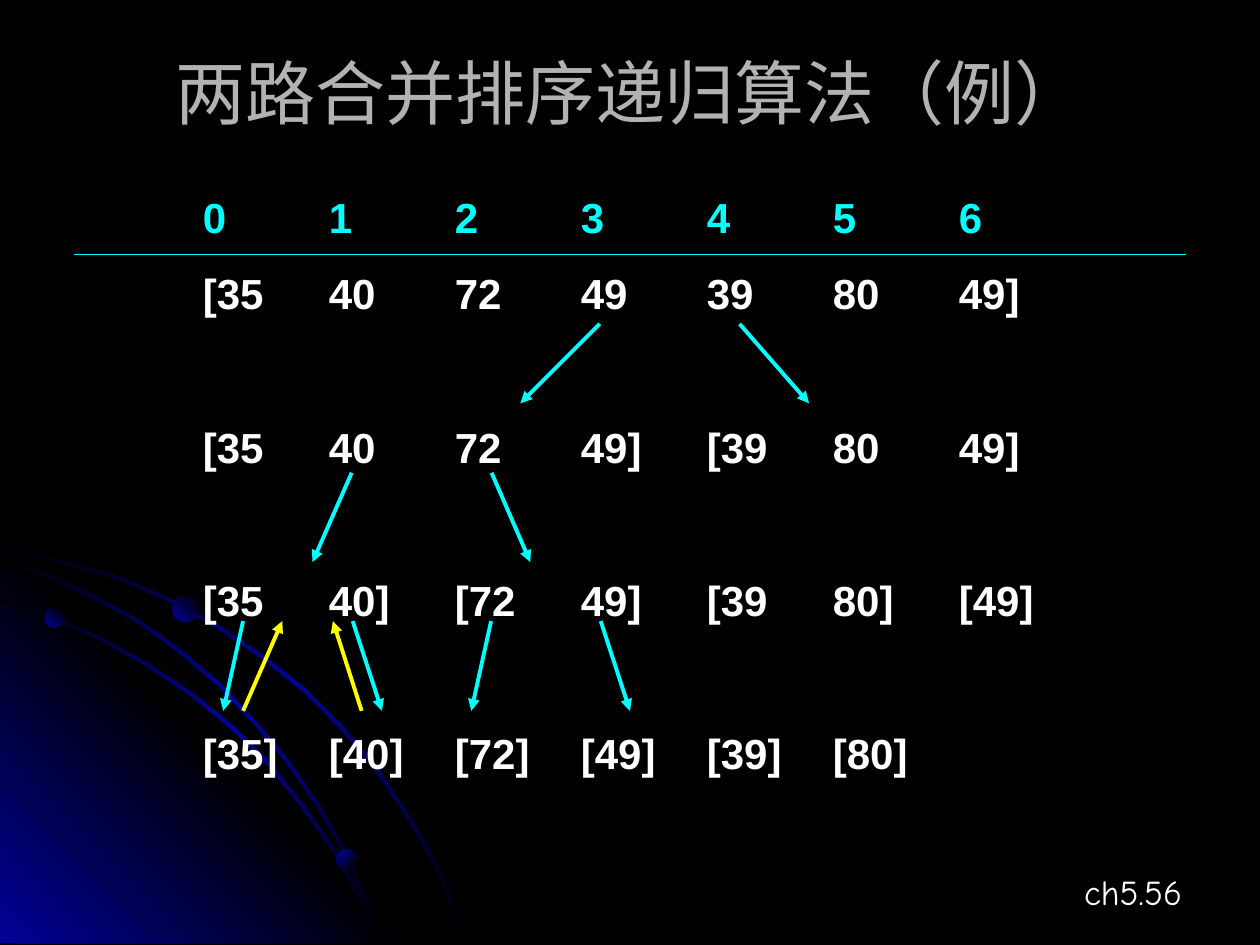
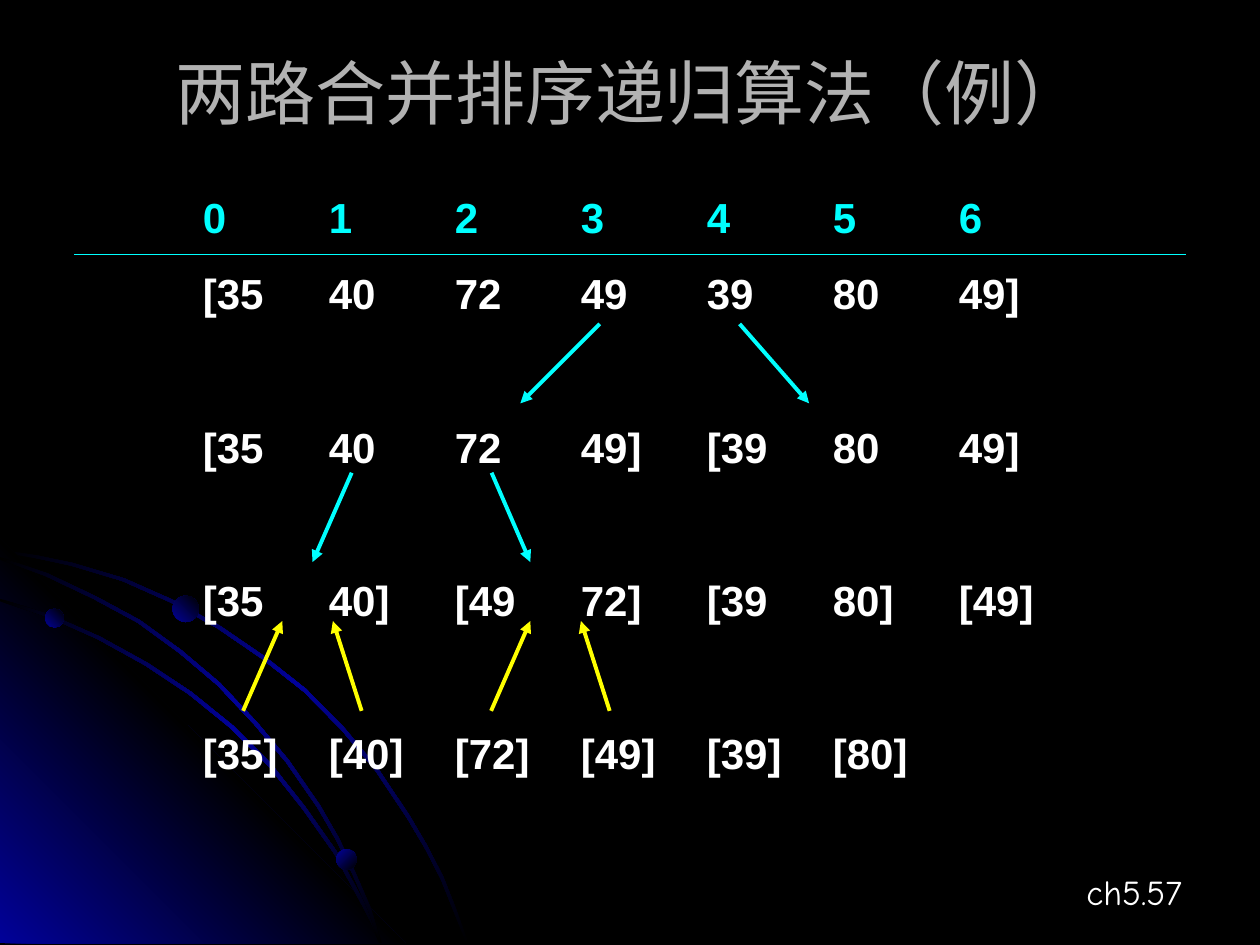
from dataclasses import dataclass
from typing import Optional

from lxml.etree import SubElement
from pptx import Presentation
from pptx.dml.color import RGBColor
from pptx.enum.shapes import MSO_CONNECTOR as Connector, MSO_SHAPE as Preset
from pptx.enum.text import MSO_ANCHOR as Anchor, MSO_AUTO_SIZE as AutoSize, PP_ALIGN as Align
from pptx.oxml.ns import qn
from pptx.oxml.xmlchemy import OxmlElement
from pptx.util import Cm, Pt

COLORS = {
    "background": "000000",
    "glow": "010199",
    "title": "B2B2B2",
    "text": "FFFFFF",
    "split": "00FFFF",
    "merge": "FFFF00",
}
TITLE = "两路合并排序递归算法（例）"
COLUMN = 2.54
LINE_HEIGHT, ROW_GAP, LEVEL_GAP = 28.8, 15, 58.8
BAND = 0.05
PAIR_SHIFT = 5.0

FADE_OUT = ("glow", "background")
FADE_BOTH = ("background", "glow", "background")
FADE_CORNERS = ("glow", "background", "glow")

Points = list[tuple[float, float]]

UPPER_ORBIT: Points = [
    (0, 11.13), (0.71, 11.25), (1.42, 11.4), (2.46, 11.71), (3.43, 12.14),
    (4.39, 12.67), (5.28, 13.28), (6.12, 13.94), (6.88, 14.71), (7.57, 15.54),
    (8.2, 16.48), (8.56, 17.09), (8.89, 17.73), (9.14, 18.36), (9.4, 19.02),
]
LOWER_ORBIT: Points = [
    (0, 12.12), (0.99, 12.45), (1.96, 12.88), (2.92, 13.41), (3.81, 14),
    (4.65, 14.68), (5.41, 15.44), (6.1, 16.31), (6.73, 17.2), (7.24, 18.14),
    (7.47, 18.59), (7.65, 19.02),
]
MIDDLE_ORBIT: Points = [
    (0, 11.28), (0.91, 11.61), (1.88, 12.07), (2.77, 12.55), (3.61, 13.16),
    (4.39, 13.82), (5.13, 14.61), (5.77, 15.37), (6.4, 16.28), (6.78, 16.94),
    (7.11, 17.63), (7.42, 18.34), (7.65, 19.02),
]
CORNER: Points = [(0, 10.85), (8.18, 19.02), (0, 19.02)]


@dataclass(frozen=True)
class Planet:
    left: float
    top: float
    size: float
    angle: int


@dataclass(frozen=True)
class Step:
    """Two arrows between two levels of the recursion."""
    top: float
    bottom: float
    left: tuple[float, float]
    right: tuple[float, float]
    color: str = "split"
    shift: float = 0


@dataclass(frozen=True)
class Row:
    cells: str
    gap: float = LEVEL_GAP
    color: str = "text"


@dataclass(frozen=True)
class Example:
    number: int
    pairs: str
    steps: list[Step]


PLANETS = [
    Planet(0.91, 12.27, 0.38, 315),
    Planet(6.78, 17.12, 0.41, 45),
    Planet(3.48, 12.01, 0.53, 315),
]


def split_leaves(shift: float = 0) -> Step:
    return Step(12.52, 14.33, (4.9, 4.5), (7.11, 7.7), shift=shift)


def merge_leaves(shift: float = 0) -> Step:
    return Step(14.33, 12.52, (4.9, 5.69), (7.29, 6.71), "merge", shift)


HALVING = [
    Step(6.53, 8.13, (12.09, 10.49), (14.91, 16.31)),
    Step(9.53, 11.33, (7.09, 6.3), (9.91, 10.69)),
]
EXAMPLES = [
    Example(56, "[35 40] [72 49] [39 80] [49]",
            HALVING + [split_leaves(), split_leaves(PAIR_SHIFT), merge_leaves()]),
    Example(57, "[35 40] [49 72] [39 80] [49]",
            HALVING + [merge_leaves(), merge_leaves(PAIR_SHIFT)]),
]


def rgb(name: str) -> RGBColor:
    return RGBColor.from_string(COLORS[name])


def write(paragraph, text: str, *, size: float, color: str, font: str = "Arial",
          bold: bool = False, align: Align = Align.LEFT, before: float = 0,
          line_height: Optional[float] = None, tab_count: int = 0) -> None:
    paragraph.alignment = align
    if tab_count:
        tabs = SubElement(paragraph._p.get_or_add_pPr(), qn("a:tabLst"))
        for column in range(1, tab_count + 1):
            SubElement(tabs, qn("a:tab"), pos=str(Cm(COLUMN * column)), algn="l")
    paragraph.space_before = Pt(before)
    if line_height:
        paragraph.line_spacing = Pt(line_height)
    run = paragraph.add_run()
    run.text = text
    run.font.name, run.font.size, run.font.bold = font, Pt(size), bold
    run.font.color.rgb = rgb(color)


def add_box(slide, left: float, top: float, width: float, height: float):
    box = slide.shapes.add_textbox(Cm(left), Cm(top), Cm(width), Cm(height))
    box.text_frame.word_wrap = True
    return box.text_frame


def fade(shape, stops: tuple[str, ...], angle: int) -> None:
    """Fill with evenly spaced colours; the angle runs clockwise."""
    shape.shadow.inherit = False
    shape.line.fill.background()
    shape.fill.background()
    gradient = OxmlElement("a:gradFill")
    stop_list = SubElement(gradient, qn("a:gsLst"))
    for index, name in enumerate(stops):
        position = 100000 * index // (len(stops) - 1)
        stop = SubElement(stop_list, qn("a:gs"), pos=str(position))
        SubElement(stop, qn("a:srgbClr"), val=COLORS[name])
    SubElement(gradient, qn("a:lin"), ang=str(angle * 60000), scaled="0")
    properties = shape.element.spPr
    properties.replace(properties.find(qn("a:noFill")), gradient)


def add_outline(slide, points: Points, stops: tuple[str, ...], angle: int) -> None:
    start, *rest = [(Cm(x), Cm(y)) for x, y in points]
    builder = slide.shapes.build_freeform(*start)
    builder.add_line_segments(rest, close=True)
    fade(builder.convert_to_shape(), stops, angle)


def add_orbit(slide, edge: Points) -> None:
    """Draw a thin band along an edge, cut flush at the slide's sides."""
    first, *inner, last = edge
    outer = [(first[0], first[1] - BAND)]
    outer += [(x + BAND, y - BAND) for x, y in inner]
    outer.append((last[0] + BAND, last[1]))
    add_outline(slide, edge + outer[::-1], FADE_BOTH, 45)


def add_scenery(slide) -> None:
    add_orbit(slide, UPPER_ORBIT)
    add_outline(slide, CORNER, FADE_CORNERS, 315)
    add_orbit(slide, LOWER_ORBIT)
    add_orbit(slide, MIDDLE_ORBIT)
    for planet in PLANETS:
        disc = slide.shapes.add_shape(Preset.OVAL, Cm(planet.left), Cm(planet.top),
                                      Cm(planet.size), Cm(planet.size))
        fade(disc, FADE_OUT, planet.angle)


def add_line(slide, start: tuple[float, float], end: tuple[float, float], *,
             color: str, width: float, arrow: bool = False) -> None:
    line = slide.shapes.add_connector(Connector.STRAIGHT, Cm(start[0]), Cm(start[1]),
                                      Cm(end[0]), Cm(end[1]))
    line.line.color.rgb = rgb(color)
    line.line.width = Pt(width)
    properties = line.element.spPr
    if arrow:
        SubElement(properties.find(qn("a:ln")), qn("a:tailEnd"), type="triangle")
    SubElement(properties, qn("a:effectLst"))


def add_title(slide) -> None:
    title = slide.shapes.title
    title.left, title.top, title.width, title.height = Cm(1.27), Cm(0.76), Cm(22.86), Cm(2.16)
    title.text_frame.auto_size = AutoSize.NONE
    title.text_frame.vertical_anchor = Anchor.MIDDLE
    write(title.text_frame.paragraphs[0], TITLE, size=40, color="title", align=Align.CENTER)


def add_levels(slide, pairs: str) -> None:
    rows = [
        Row("0 1 2 3 4 5 6", 0, "split"),
        Row("[35 40 72 49 39 80 49]", ROW_GAP),
        Row("[35 40 72 49] [39 80 49]"),
        Row(pairs),
        Row("[35] [40] [72] [49] [39] [80]"),
    ]
    frame = add_box(slide, 1.3, 3.73, 22.81, 12.09)
    for index, row in enumerate(rows):
        paragraph = frame.add_paragraph() if index else frame.paragraphs[0]
        write(paragraph, "\t" + "\t".join(row.cells.split()), size=24, bold=True,
              color=row.color, before=row.gap, line_height=LINE_HEIGHT, tab_count=7)
    add_line(slide, (1.5, 5.13), (23.9, 5.13), color="split", width=0.75)


def add_step(slide, step: Step) -> None:
    for start, end in (step.left, step.right):
        add_line(slide, (start + step.shift, step.top), (end + step.shift, step.bottom),
                 color=step.color, width=2.25, arrow=True)


def main() -> None:
    deck = Presentation()
    deck.slide_width, deck.slide_height = Cm(25.4), Cm(19.05)
    backdrop = deck.slide_master.background.fill
    backdrop.solid()
    backdrop.fore_color.rgb = rgb("background")
    title_only = deck.slide_layouts[5]
    for example in EXAMPLES:
        slide = deck.slides.add_slide(title_only)
        add_scenery(slide)
        number = add_box(slide, 18.29, 17.42, 5.79, 1.12)
        write(number.paragraphs[0], f"ch5.{example.number}", size=20, color="text",
              font="Comic Neue", align=Align.RIGHT)
        add_title(slide)
        add_levels(slide, example.pairs)
        for step in example.steps:
            add_step(slide, step)
    deck.save("out.pptx")


if __name__ == "__main__":
    main()
